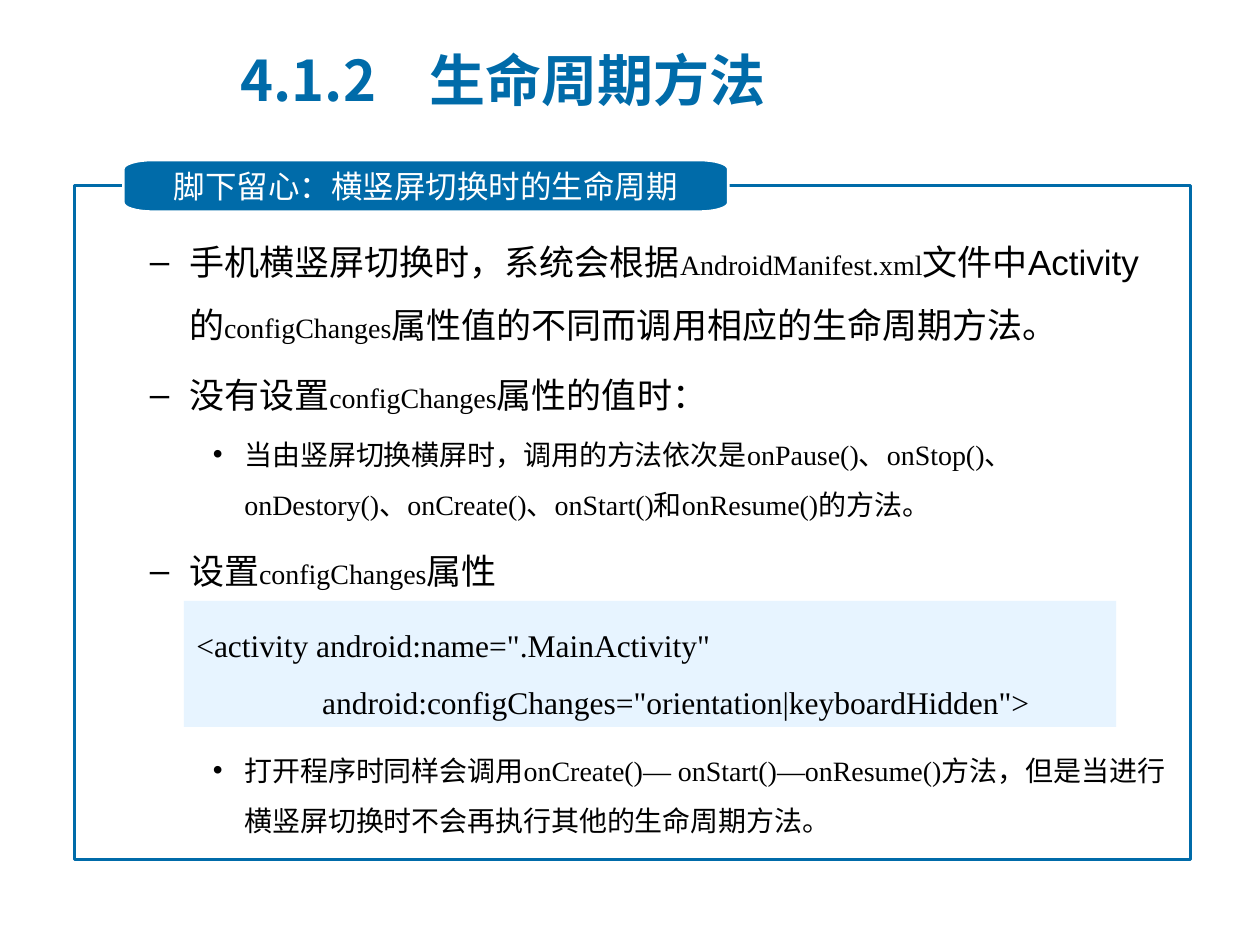
from math import cos, pi, sin

from lxml.etree import SubElement
from pptx import Presentation
from pptx.dml.color import RGBColor
from pptx.enum.shapes import MSO_SHAPE as Shape
from pptx.enum.text import MSO_ANCHOR as Anchor, MSO_AUTO_SIZE as AutoSize, PP_ALIGN as Align
from pptx.oxml.ns import qn
from pptx.util import Inches, Pt

BLUE = RGBColor(0x00, 0x6B, 0xA9)
PALE_BLUE = RGBColor(0xE7, 0xF4, 0xFF)
WHITE = RGBColor(0xFF, 0xFF, 0xFF)
BLACK = RGBColor(0x00, 0x00, 0x00)
SANS, SERIF, CJK = "Arial", "Times New Roman", "Noto Sans CJK SC"

TITLE = "4.1.2\t生命周期方法"
TAG = "脚下留心：横竖屏切换时的生命周期"
CODE = [
    '<activity android:name=".MainActivity"',
    '                android:configChanges="orientation|keyboardHidden">',
]
# Level, space before in points, then spans that alternate Chinese text and code terms
POINTS = [
    (1, 0, ["手机横竖屏切换时，系统会根据", "AndroidManifest.xml", "文件中Activity的",
            "configChanges", "属性值的不同而调用相应的生命周期方法。"]),
    (1, 4, ["没有设置", "configChanges", "属性的值时："]),
    (2, 3.2, ["当由竖屏切换横屏时，调用的方法依次是",
              "onPause()、onStop()、onDestory()、onCreate()、onStart()和onResume()",
              "的方法。"]),
    (1, 4, ["设置", "configChanges", "属性"]),
    (2, 83, ["打开程序时同样会调用", "onCreate()— onStart()—onResume()",
             "方法，但是当进行横竖屏切换时不会再执行其他的生命周期方法。"]),
]
# Level: bullet, left margin, hanging indent, text size
LEVELS = {1: ("–", 0.81, 0.31, 20), 2: ("•", 1.25, 0.25, 16)}
TERM_SIZE = 16


def place(shape, left, top, width, height):
    shape.left, shape.top = Inches(left), Inches(top)
    shape.width, shape.height = Inches(width), Inches(height)


def style(span, size, font, color, bold=False):
    span.font.size, span.font.name, span.font.bold = Pt(size), font, bold
    span.font.color.rgb = color
    if font == CJK:
        SubElement(span.font._element, qn("a:ea"), typeface=font)


def set_indent(para, margin, hanging, bullet=None):
    properties = para._p.get_or_add_pPr()
    properties.set("marL", str(Inches(margin)))
    properties.set("indent", str(-Inches(hanging)))
    if bullet:
        SubElement(properties, qn("a:buFont"), typeface=SANS)
        SubElement(properties, qn("a:buChar"), char=bullet)
    return properties


def add_rectangle(page, *bounds):
    box = page.shapes.add_shape(Shape.RECTANGLE, *map(Inches, bounds))
    box.shadow.inherit = False
    return box


def fill_title(title):
    place(title, 1.81, 0.21, 5.63, 0.84)
    frame = title.text_frame
    frame.text = TITLE
    frame.auto_size, frame.vertical_anchor = AutoSize.NONE, Anchor.MIDDLE
    para = frame.paragraphs[0]
    tabs = SubElement(set_indent(para, 0, 0), qn("a:tabLst"))
    SubElement(tabs, qn("a:tab"), pos=str(Inches(1.39)), algn="l")
    para.alignment = Align.LEFT
    for span in para.runs:
        style(span, 32, CJK, BLUE, bold=True)


def fill_body(body):
    place(body, 0.59, 1.69, 8.81, 4.95)
    frame = body.text_frame
    frame.auto_size, frame.vertical_anchor = AutoSize.NONE, Anchor.TOP
    for index, (level, gap, spans) in enumerate(POINTS):
        para = frame.add_paragraph() if index else frame.paragraphs[0]
        bullet, margin, hanging, size = LEVELS[level]
        set_indent(para, margin, hanging, bullet)
        para.level, para.line_spacing, para.space_before = level, 1.5, Pt(gap)
        for position, words in enumerate(spans):
            span = para.add_run()
            span.text = words
            if position % 2:
                style(span, TERM_SIZE, SERIF, BLACK)
            else:
                style(span, size, SANS, BLACK)


def add_tag(page, left, top, width, height, radius_x=0.23, radius_y=0.07, steps=8):
    """Draw the heading label, whose corners are quarter ellipses."""
    corners = [(1, 1), (-1, 1), (-1, -1), (1, -1)]
    outline = []
    for quarter, (side_x, side_y) in enumerate(corners):
        center_x = left + width / 2 + side_x * (width / 2 - radius_x)
        center_y = top + height / 2 + side_y * (height / 2 - radius_y)
        for step in range(steps + 1):
            angle = (quarter + step / steps) * pi / 2
            outline.append((Inches(center_x + radius_x * cos(angle)),
                            Inches(center_y + radius_y * sin(angle))))
    builder = page.shapes.build_freeform(*outline[0])
    builder.add_line_segments(outline[1:], close=True)
    tag = builder.convert_to_shape()
    tag.shadow.inherit = False
    tag.fill.solid()
    tag.fill.fore_color.rgb = BLUE
    tag.line.color.rgb, tag.line.width = WHITE, Pt(1.5)
    frame = tag.text_frame
    frame.text, frame.word_wrap, frame.vertical_anchor = TAG, True, Anchor.MIDDLE
    frame.margin_left = frame.margin_right = Inches(0.24)
    frame.margin_top = frame.margin_bottom = Inches(0.06)
    para = frame.paragraphs[0]
    para.alignment = Align.CENTER
    style(para.runs[0], 18, CJK, WHITE)


def add_code(page):
    box = add_rectangle(page, 1.46, 4.77, 7.4, 1)
    box.fill.solid()
    box.fill.fore_color.rgb = PALE_BLUE
    box.line.fill.background()
    frame = box.text_frame
    frame.text, frame.vertical_anchor = "\n".join(CODE), Anchor.TOP
    for para in frame.paragraphs:
        para.alignment, para.line_spacing = Align.LEFT, 1.5
        style(para.runs[0], 18, SERIF, BLACK)


def main():
    deck = Presentation()
    deck.slide_width, deck.slide_height = Inches(10), Inches(7.5)
    page = deck.slides.add_slide(deck.slide_layouts[1])
    fill_title(page.shapes.title)
    fill_body(page.placeholders[1])
    border = add_rectangle(page, 0.59, 1.47, 8.86, 5.35)
    border.fill.background()
    border.line.color.rgb, border.line.width = BLUE, Pt(1.5)
    add_tag(page, 0.98, 1.27, 4.8, 0.41)
    add_code(page)
    deck.save("out.pptx")


if __name__ == "__main__":
    main()
